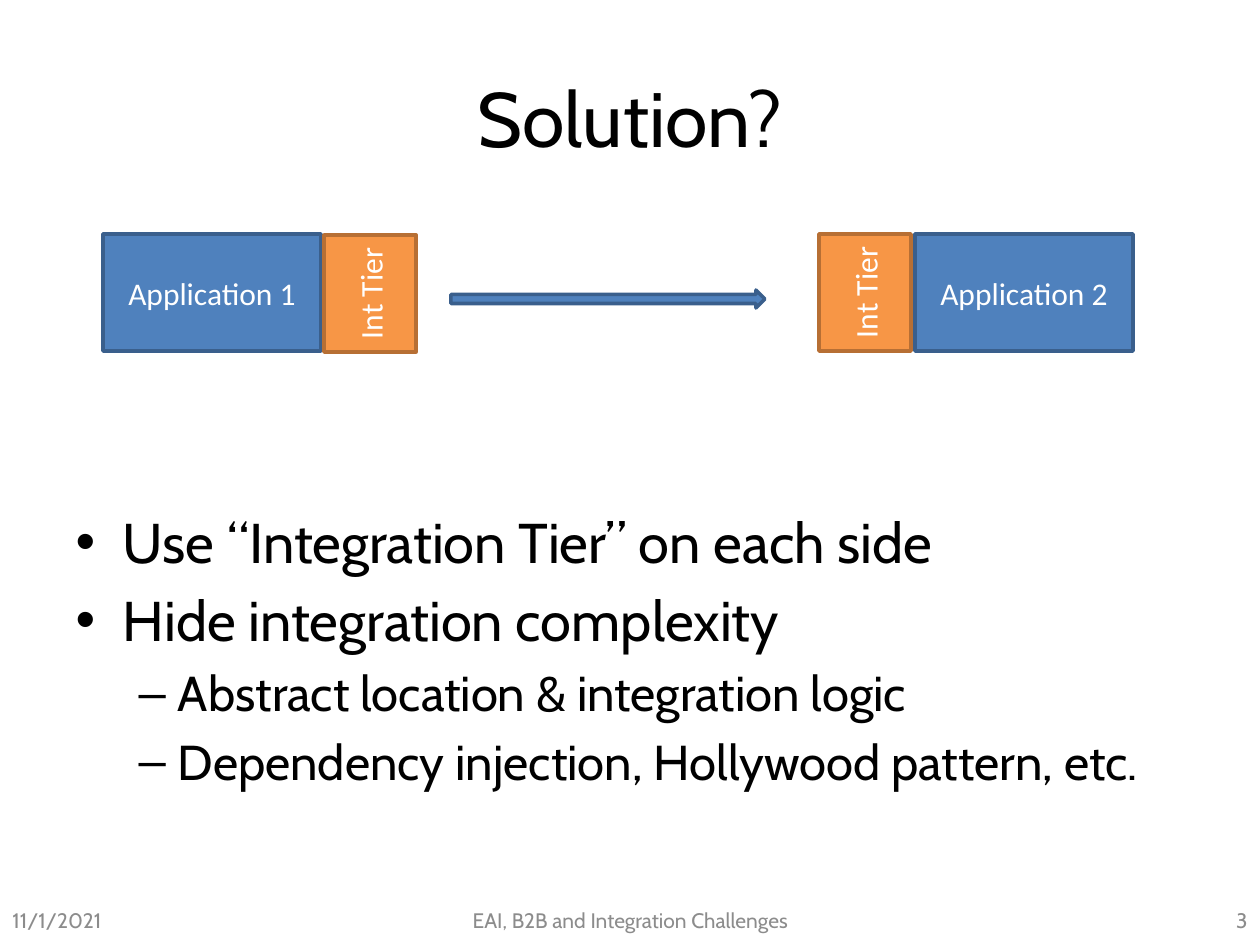
from pptx import Presentation
from pptx.dml.color import RGBColor
from pptx.enum.shapes import MSO_SHAPE
from pptx.enum.text import MSO_ANCHOR, PP_ALIGN
from pptx.util import Emu, Pt

# Content
TITLE = "Solution?"
POINTS = [
    (0, "Use “Integration Tier” on each side"),
    (0, "Hide integration complexity"),
    (1, "Abstract location & integration logic"),
    (1, "Dependency injection, Hollywood pattern, etc."),
]
POINT_SIZES = [32, 28]
FOOTERS = [  # text, left, width, alignment
    ("11/1/2021", 0, 294, PP_ALIGN.LEFT),
    ("3", 966, 294, PP_ALIGN.RIGHT),
    ("EAI, B2B and Integration Challenges", 431, 399, PP_ALIGN.CENTER),
]
BLOCKS = [  # text, kind, left, top
    ("Application 1", "app", 103, 234),
    ("Application 2", "app", 915, 234),
    ("Int Tier", "tier", 324, 235),
    ("Int Tier", "tier", 819, 234),
]
BLOCK_WIDTHS = {"app": 218, "tier": 92}
BLOCK_HEIGHT = 117
COLORS = {
    "text": "000000", "footer": "8C8C8C", "block_text": "FFFFFF",
    "app": "4F81BD", "app_line": "3A5F8C",
    "tier": "F79646", "tier_line": "B76F34",
}
PX = 914400 / 126


def box(*lengths):
    return [Emu(round(length * PX)) for length in lengths]


def place(shape, *lengths):
    shape.left, shape.top, shape.width, shape.height = box(*lengths)


def write(paragraph, text, size, color="text", font="Cabin", align=None):
    run = paragraph.add_run()
    run.text = text
    run.font.size = Pt(size)
    run.font.name = font
    run.font.color.rgb = RGBColor.from_string(COLORS[color])
    paragraph.alignment = align


def add_block(slide, preset, kind, *lengths):
    block = slide.shapes.add_shape(preset, *box(*lengths))
    block.shadow.inherit = False
    block.fill.solid()
    block.fill.fore_color.rgb = RGBColor.from_string(COLORS[kind])
    block.line.color.rgb = RGBColor.from_string(COLORS[kind + "_line"])
    block.line.width = Pt(2)
    return block


def main():
    deck = Presentation()
    deck.slide_width, deck.slide_height = box(1260, 945)
    slide = deck.slides.add_slide(deck.slide_layouts[1])

    # Title and points
    title, body = slide.placeholders
    place(title, 63, 38, 1134, 157)
    write(title.text_frame.paragraphs[0], TITLE, 44, align=PP_ALIGN.CENTER)
    place(body, 63, 501, 1134, 343)
    for index, (level, point) in enumerate(POINTS):
        frame = body.text_frame
        paragraph = frame.add_paragraph() if index else frame.paragraphs[0]
        paragraph.level = level
        write(paragraph, point, POINT_SIZES[level])

    # Footer row
    for text, left, width, align in FOOTERS:
        frame = slide.shapes.add_textbox(*box(left, 895, width, 50)).text_frame
        frame.word_wrap = True
        frame.vertical_anchor = MSO_ANCHOR.MIDDLE
        write(frame.paragraphs[0], text, 12, color="footer", align=align)

    # Applications, their integration tiers and the arrow between them
    for text, kind, left, top in BLOCKS:
        block = add_block(slide, MSO_SHAPE.RECTANGLE, kind,
                          left, top, BLOCK_WIDTHS[kind], BLOCK_HEIGHT)
        frame = block.text_frame
        frame.word_wrap = True
        frame.vertical_anchor = MSO_ANCHOR.MIDDLE
        if kind == "tier":
            frame._txBody.bodyPr.set("vert", "vert270")
        write(frame.paragraphs[0], text, 18, color="block_text",
              font="Calibri", align=PP_ALIGN.CENTER)
    add_block(slide, MSO_SHAPE.RIGHT_ARROW, "app", 451, 290, 314, 18)

    deck.save("out.pptx")


if __name__ == "__main__":
    main()
